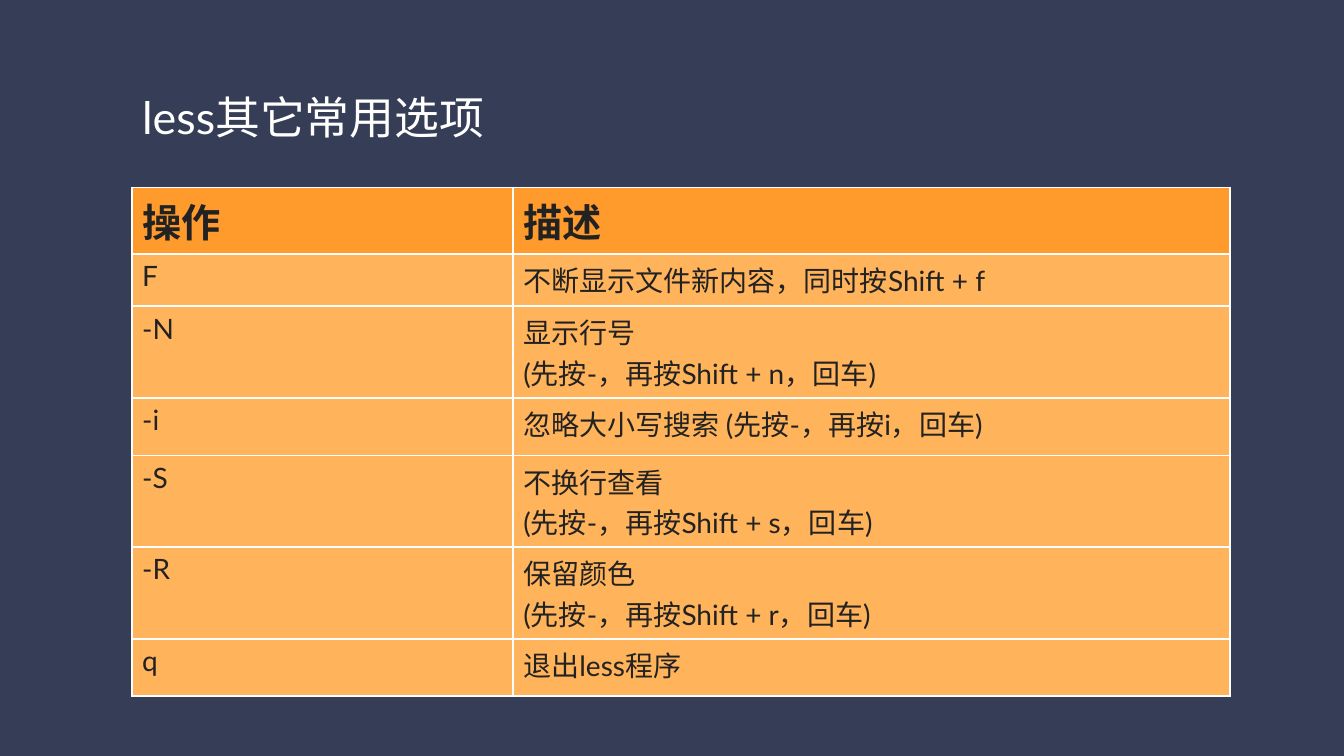
import lxml.etree
import pptx
import pptx.dml.color
import pptx.enum.text
import pptx.oxml.ns
import pptx.util
from pptx.util import Inches

FONT = "Lato"


def add_run(paragraph, text, size, color, bold=False):
    run = paragraph.add_run()
    run.text = text
    run.font.name = FONT
    run.font.size = pptx.util.Pt(size)
    run.font.bold = bold
    run.font.color.rgb = pptx.dml.color.RGBColor.from_string(color)


def add_borders(cell, color, width):
    """Draw all four borders; call before the cell is filled."""
    properties = cell._tc.get_or_add_tcPr()
    qn = pptx.oxml.ns.qn
    for side in ("a:lnL", "a:lnR", "a:lnT", "a:lnB"):
        line = lxml.etree.SubElement(properties, qn(side), w=str(pptx.util.Pt(width)))
        fill = lxml.etree.SubElement(line, qn("a:solidFill"))
        lxml.etree.SubElement(fill, qn("a:srgbClr"), val=color)


presentation = pptx.Presentation()
presentation.slide_width = Inches(13.33)
presentation.slide_height = Inches(7.5)
slide = presentation.slides.add_slide(presentation.slide_layouts[5])
slide.background.fill.solid()
slide.background.fill.fore_color.rgb = pptx.dml.color.RGBColor.from_string("363D56")

title = slide.shapes.title
title.left, title.top = Inches(1.35), Inches(0.83)
title.width, title.height = Inches(9.56), Inches(0.65)
title_frame = title.text_frame
title_frame.margin_left = title_frame.margin_right = Inches(0.06)
title_frame.margin_top = title_frame.margin_bottom = Inches(0.06)
title_frame.word_wrap = True
title_frame.auto_size = pptx.enum.text.MSO_AUTO_SIZE.SHAPE_TO_FIT_TEXT
title_frame.vertical_anchor = pptx.enum.text.MSO_ANCHOR.MIDDLE
title_paragraph = title_frame.paragraphs[0]
title_paragraph.alignment = pptx.enum.text.PP_ALIGN.LEFT
add_run(title_paragraph, "less其它常用选项", 32, "FFFFFF")

# Each row: height, option, lines of its description
option_rows = [
    (0.66, "操作", ["描述"]),
    (0.52, "F", ["不断显示文件新内容，同时按Shift + f"]),
    (0.91, "-N", ["显示行号", "(先按-，再按Shift + n，回车)"]),
    (0.57, "-i", ["忽略大小写搜索 (先按-，再按i，回车)"]),
    (0.91, "-S", ["不换行查看", "(先按-，再按Shift + s，回车)"]),
    (0.91, "-R", ["保留颜色", "(先按-，再按Shift + r，回车)"]),
    (0.57, "q", ["退出less程序"]),
]
table_height = sum(height for height, option, description in option_rows)
table = slide.shapes.add_table(
    len(option_rows), 2, Inches(1.31), Inches(1.86), Inches(10.89), Inches(table_height)
).table
table.columns[0].width = Inches(3.78)
table.columns[1].width = Inches(7.11)

for row_index, (height, option, description) in enumerate(option_rows):
    is_header = row_index == 0
    table.rows[row_index].height = Inches(height)
    for column_index, lines in enumerate([[option], description]):
        cell = table.cell(row_index, column_index)
        add_borders(cell, "FFFFFF", 1.5)
        cell.fill.solid()
        cell.fill.fore_color.rgb = pptx.dml.color.RGBColor.from_string(
            "FF9A2D" if is_header else "FFB35A"
        )
        for line_index, line in enumerate(lines):
            frame = cell.text_frame
            paragraph = frame.add_paragraph() if line_index else frame.paragraphs[0]
            add_run(paragraph, line, 28 if is_header else 20, "222222", is_header)

presentation.save("out.pptx")
